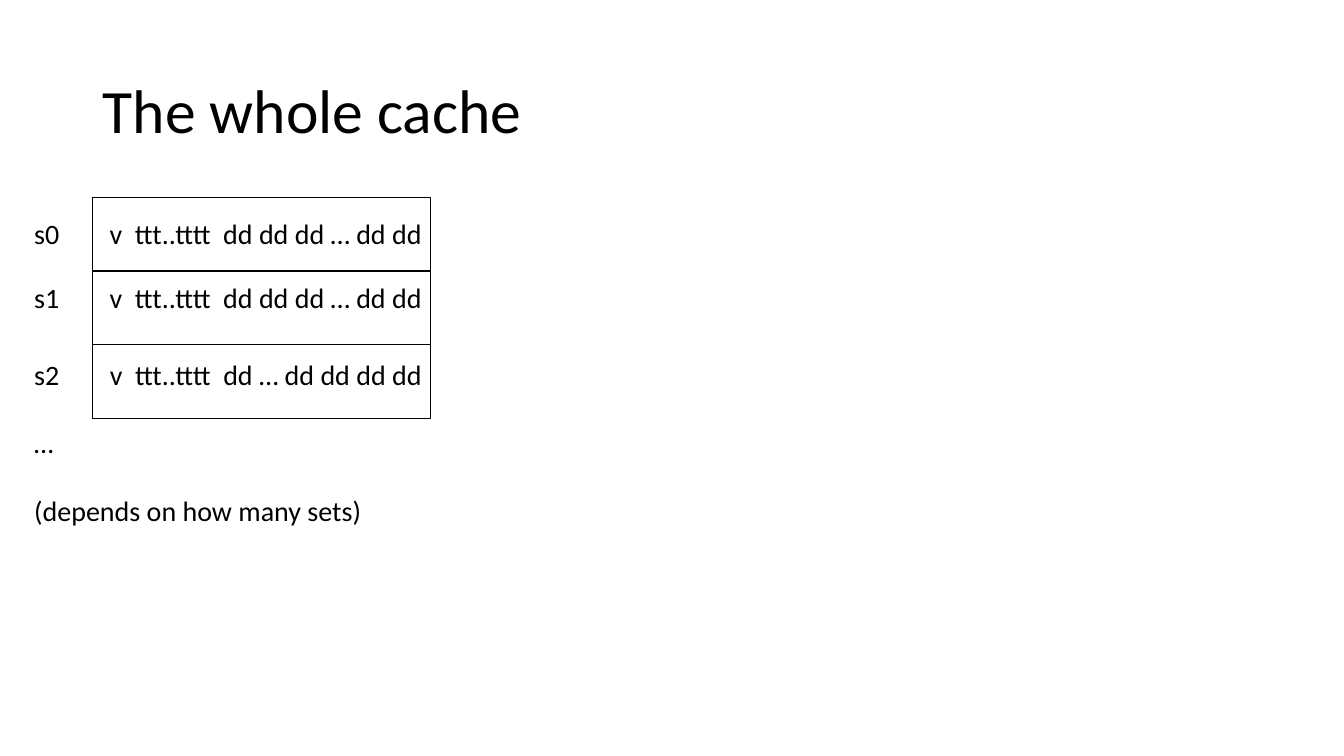
import pptx
import pptx.dml.color
import pptx.enum.shapes
import pptx.enum.text
import pptx.util
import lxml.etree
from pptx.oxml.ns import qn

Inches = pptx.util.Inches
Pt = pptx.util.Pt

THEME = {
    "font": "Calibri",
    "ink": pptx.dml.color.RGBColor(0, 0, 0),
    "title_size": Pt(44),
    "body_size": Pt(20),
    "line_width": Pt(1),
    "paragraph_gap": Pt(24.4),
}

GRID_LEFT, GRID_TOP = 0.92, 1.96
ROW_WIDTH, ROW_HEIGHT = 3.35, 0.73
LABEL_LEFT, LABEL_TAB = 0.24, 0.75

CACHE_SETS = [
    (["s0\tv  ttt..tttt  dd dd dd … dd dd"], 0.14, 4.07, 0.44),
    (["s1\tv  ttt..tttt  dd dd dd … dd dd"], 0.04, 4.07, 0.44),
    (["s2\tv  ttt..tttt  dd … dd dd dd dd", "…", "(depends on how many sets)"], 0.08, 4.88, 1.78),
]


def style_text(paragraph, size):
    paragraph.alignment = pptx.enum.text.PP_ALIGN.LEFT
    for run in paragraph.runs:
        run.font.name = THEME["font"]
        run.font.size = size
        run.font.color.rgb = THEME["ink"]


presentation = pptx.Presentation()
presentation.slide_width = Inches(13.33)
presentation.slide_height = Inches(7.5)
slide = presentation.slides.add_slide(presentation.slide_layouts[5])

title = slide.shapes.title
title.left, title.top = Inches(GRID_LEFT), Inches(0.4)
title.width, title.height = Inches(11.5), Inches(1.45)
title.text_frame.text = "The whole cache"
title.text_frame.auto_size = pptx.enum.text.MSO_AUTO_SIZE.NONE
title.text_frame.vertical_anchor = pptx.enum.text.MSO_ANCHOR.MIDDLE
title.text_frame.paragraphs[0].line_spacing = 0.9
style_text(title.text_frame.paragraphs[0], THEME["title_size"])

for row, (lines, text_offset, text_width, text_height) in enumerate(CACHE_SETS):
    row_top = GRID_TOP + row * ROW_HEIGHT
    frame = slide.shapes.add_shape(
        pptx.enum.shapes.MSO_SHAPE.RECTANGLE,
        Inches(GRID_LEFT), Inches(row_top), Inches(ROW_WIDTH), Inches(ROW_HEIGHT),
    )
    frame.shadow.inherit = False
    frame.fill.background()
    frame.line.color.rgb = THEME["ink"]
    frame.line.width = THEME["line_width"]

    label = slide.shapes.add_textbox(
        Inches(LABEL_LEFT), Inches(row_top + text_offset), Inches(text_width), Inches(text_height)
    )
    label.text_frame.word_wrap = True
    label.text_frame.auto_size = pptx.enum.text.MSO_AUTO_SIZE.SHAPE_TO_FIT_TEXT
    label.text_frame.text = "\n".join(lines)
    for index, paragraph in enumerate(label.text_frame.paragraphs):
        style_text(paragraph, THEME["body_size"])
        if index:
            paragraph.space_before = THEME["paragraph_gap"]
    properties = label.text_frame.paragraphs[0]._p.get_or_add_pPr()
    tab_list = lxml.etree.SubElement(properties, qn("a:tabLst"))
    lxml.etree.SubElement(tab_list, qn("a:tab"), pos=str(Inches(LABEL_TAB)), algn="l")

presentation.save("out.pptx")
